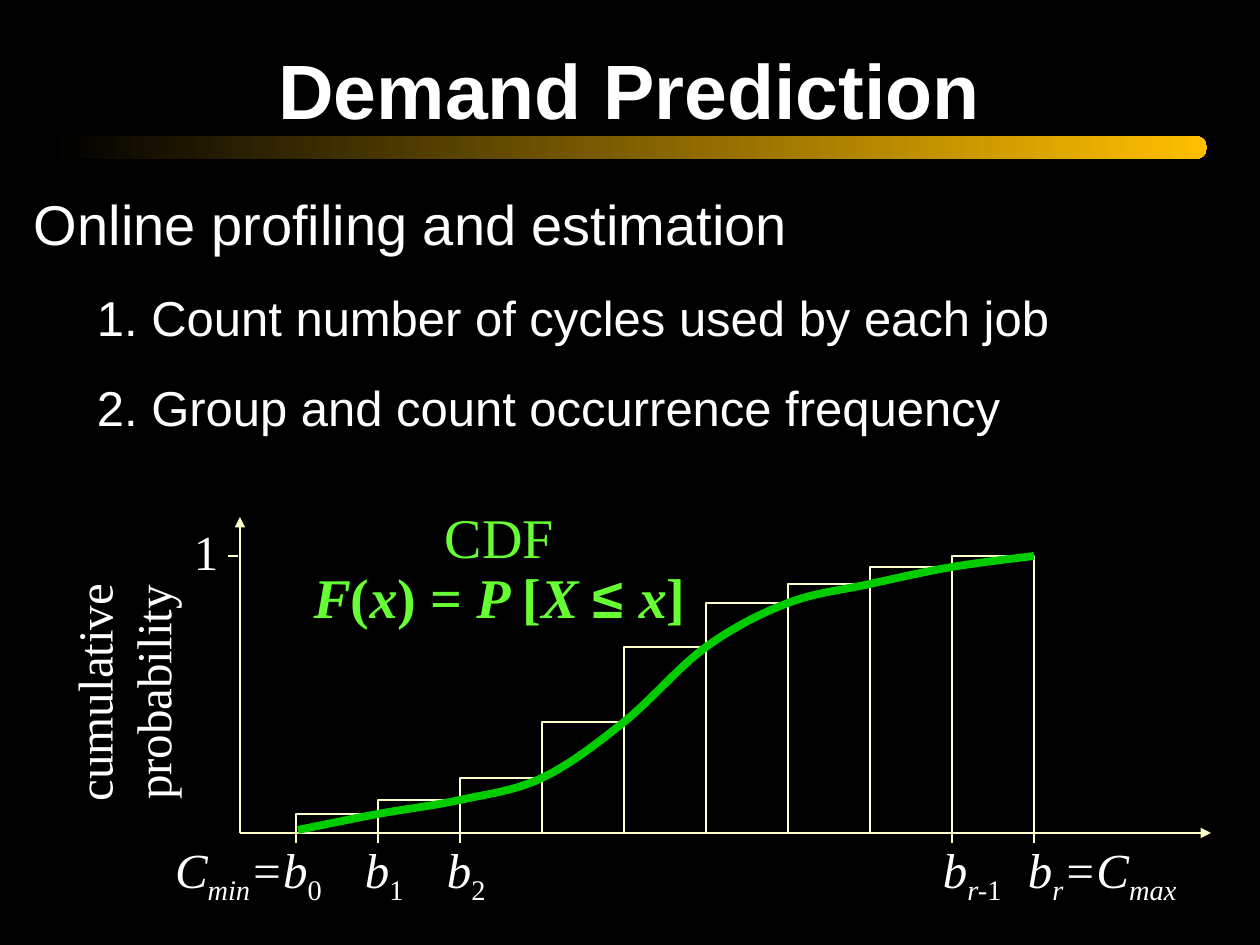
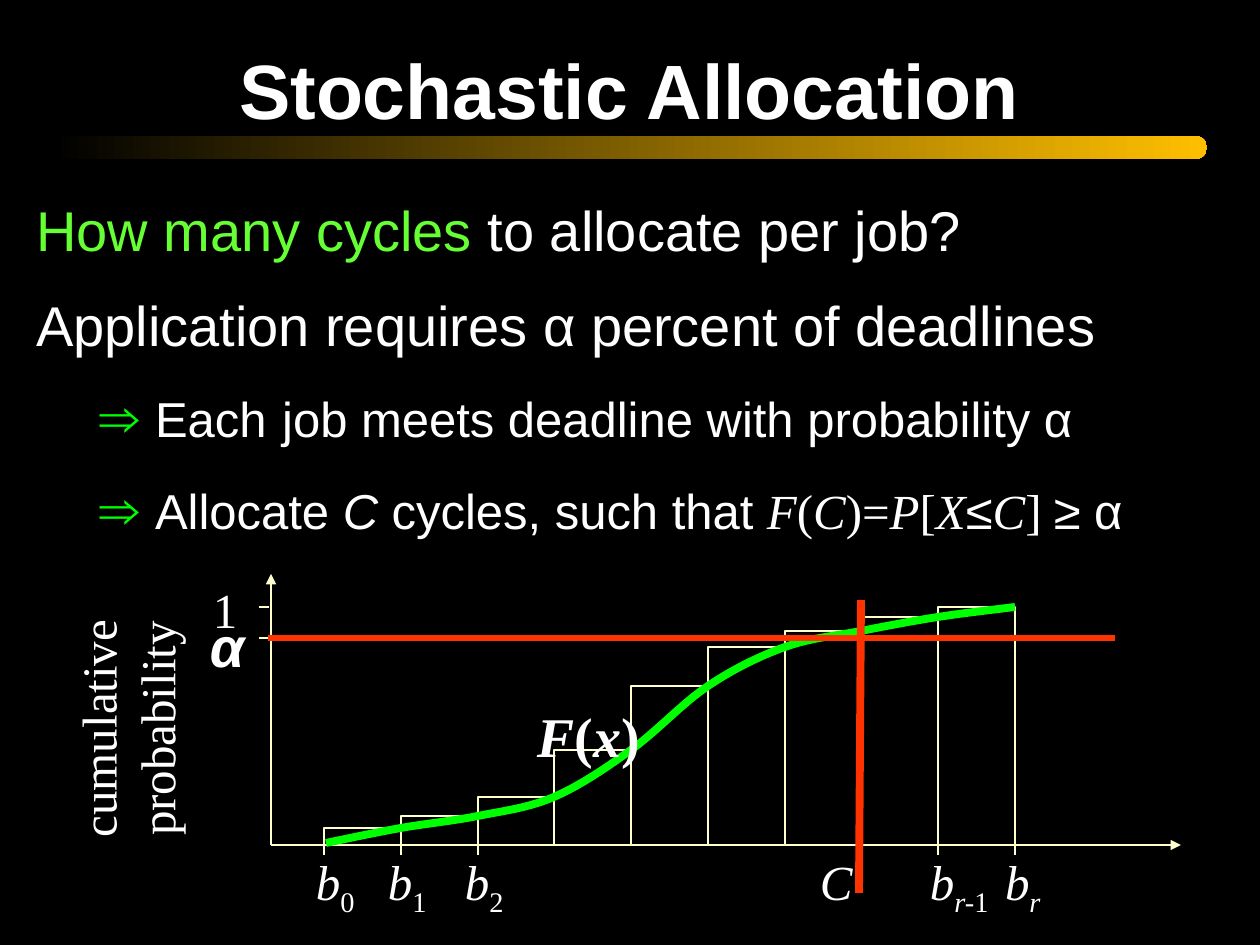
from dataclasses import dataclass

from lxml.etree import SubElement
from pptx import Presentation
from pptx.dml.color import RGBColor
from pptx.enum.shapes import MSO_CONNECTOR as Connector, MSO_SHAPE as Preset
from pptx.enum.text import MSO_ANCHOR as Anchor, MSO_AUTO_SIZE as AutoSize, PP_ALIGN as Align
from pptx.oxml.ns import qn
from pptx.util import Emu, Pt

EMU_PER_PX = 914400 / 126
SANS, SERIF = "Arial", "Times New Roman"
BLACK, WHITE, GOLD = "000000", "FFFFFF", "FFBF00"
CREAM, LIME, RED = "FFFFCC", "66FF33", "FF3300"
DARK_GREEN, BRIGHT_GREEN = "00CC00", "00FF00"

PLAIN = {}
ITALIC = {"italic": True}
SUB = {"sub": True}
ITALIC_SUB = ITALIC | SUB
BOLD = {"bold": True}
BOLD_ITALIC = BOLD | ITALIC
SERIF_TEXT = {"font": SERIF}
SERIF_ITALIC = SERIF_TEXT | ITALIC
HEADING = {"size": 32}
ARROW = HEADING | {"color": BRIGHT_GREEN}

CUMULATIVE = [0.07, 0.12, 0.2, 0.4, 0.67, 0.83, 0.9, 0.96, 1]
TICKED_EDGES = [0, 1, 2, 8, 9]
CURVE_STEPS = 10

B1 = [("b", ITALIC), ("1", SUB)]
B2 = [("b", ITALIC), ("2", SUB)]
B_BEFORE_LAST = [("b", ITALIC), ("r-", ITALIC_SUB), ("1", SUB)]


@dataclass
class PlotBox:
    left: int
    base: int
    width: int
    height: int

    @property
    def axis(self):
        return self.left - round(0.076 * self.width)

    @property
    def top(self):
        return self.base - self.height

    def edge(self, index):
        return self.left + round(index * self.width / len(CUMULATIVE))

    def level(self, share):
        return self.base - round(share * self.height)


def px(length):
    return Emu(round(length * EMU_PER_PX))


def rgb(hex_color):
    return RGBColor.from_string(hex_color)


def add_runs(paragraph, runs, font=SANS, size=28, color=WHITE):
    for text, style in runs:
        run = paragraph.add_run()
        run.text = text
        run.font.name = style.get("font", font)
        run.font.size = Pt(style.get("size", size))
        run.font.color.rgb = rgb(style.get("color", color))
        run.font.bold = style.get("bold", False)
        run.font.italic = style.get("italic", False)
        if style.get("sub"):
            run.font._element.set("baseline", "-25000")


def place(shape, left, top, width, height):
    shape.left, shape.top = px(left), px(top)
    shape.width, shape.height = px(width), px(height)


def set_frame(frame, inset_x, inset_y, anchor=Anchor.TOP):
    frame.word_wrap = True
    frame.auto_size = AutoSize.NONE
    frame.vertical_anchor = anchor
    frame.margin_left = frame.margin_right = px(inset_x)
    frame.margin_top = frame.margin_bottom = px(inset_y)


def add_text(slide, box, lines, align=Align.LEFT, inset=(0, 0), spacing=None, **style):
    shape = slide.shapes.add_textbox(*map(px, box))
    frame = shape.text_frame
    set_frame(frame, *inset)
    for number, runs in enumerate(lines):
        paragraph = frame.add_paragraph() if number else frame.paragraphs[0]
        paragraph.alignment = align
        paragraph.line_spacing = spacing
        add_runs(paragraph, runs, **style)
    return shape


def add_line(slide, start, end, color=CREAM, width=0.75, arrow=False):
    connector = slide.shapes.add_connector(Connector.STRAIGHT, *map(px, start + end))
    connector.line.color.rgb = rgb(color)
    connector.line.width = Pt(width)
    properties = connector._element.spPr
    if arrow:
        SubElement(properties.find(qn("a:ln")), qn("a:tailEnd"), type="triangle")
    SubElement(properties, qn("a:effectLst"))


def add_header(slide, title):
    band = slide.shapes.add_shape(Preset.ROUNDED_RECTANGLE, *map(px, (52, 136, 1155, 23)))
    band.adjustments[0] = 0.5
    band.shadow.inherit = False
    band.line.fill.background()
    band.fill.gradient()
    band.fill.gradient_angle = 0
    for stop, color in zip(band.fill.gradient_stops, (BLACK, GOLD)):
        stop.color.rgb = rgb(color)

    shape = slide.shapes.title
    place(shape, 94, 41, 1071, 95)
    set_frame(shape.text_frame, 13, 6, Anchor.MIDDLE)
    paragraph = shape.text_frame.paragraphs[0]
    paragraph.alignment = Align.CENTER
    add_runs(paragraph, [(title, BOLD)], size=44)


def add_body(slide, box, lines):
    body = slide.placeholders[1]
    place(body, *box)
    frame = body.text_frame
    set_frame(frame, 13, 6)
    for number, (level, space_before, runs) in enumerate(lines):
        paragraph = frame.add_paragraph() if number else frame.paragraphs[0]
        paragraph.level = level
        paragraph.space_before = Pt(space_before)
        properties = paragraph._p.get_or_add_pPr()
        properties.set("marL", str(px(63 * level)))
        properties.set("indent", "0")
        SubElement(properties, qn("a:buNone"))
        add_runs(paragraph, runs, size=28 if level else 32)


def curve_points(anchors):
    padded = [anchors[0], *anchors, anchors[-1]]
    points = [anchors[0]]
    for before, start, end, after in zip(padded, padded[1:], padded[2:], padded[3:]):
        for step in range(1, CURVE_STEPS + 1):
            t = step / CURVE_STEPS
            points.append(tuple(
                b + t * (c - a) / 2
                + t ** 2 * (2 * a - 5 * b + 4 * c - d) / 2
                + t ** 3 * (3 * b - a - 3 * c + d) / 2
                for a, b, c, d in zip(before, start, end, after)))
    return [(px(x), px(y)) for x, y in points]


def add_curve(slide, plot, color):
    anchors = [(plot.left + 2, plot.level(0.01))]
    anchors += [(plot.edge(index), plot.level(share))
                for index, share in enumerate(CUMULATIVE, 1)]
    first, *others = curve_points(anchors)
    builder = slide.shapes.build_freeform(*first)
    builder.add_line_segments(others, close=False)
    curve = builder.convert_to_shape()
    curve.shadow.inherit = False
    curve.fill.background()
    curve.line.color.rgb = rgb(color)
    curve.line.width = Pt(4.5)


def add_level_tick(slide, plot, y):
    add_line(slide, (plot.axis - 2, y), (plot.axis - 12, y))


def add_plot(slide, plot, curve_color, edge_labels):
    axis_end = plot.left + round(1.24 * plot.width)
    add_line(slide, (plot.axis, plot.base), (axis_end, plot.base), arrow=True)
    add_line(slide, (plot.axis, plot.base), (plot.axis, plot.level(1.14)), arrow=True)

    for index, share in enumerate(CUMULATIVE):
        left, top = plot.edge(index), plot.level(share)
        bar = slide.shapes.add_shape(Preset.RECTANGLE, px(left), px(top),
                                     px(plot.edge(index + 1) - left), px(plot.base - top))
        bar.shadow.inherit = False
        bar.fill.background()
        bar.line.color.rgb = rgb(CREAM)
        bar.line.width = Pt(0.75)

    for index in TICKED_EDGES:
        x = plot.edge(index)
        add_line(slide, (x, plot.base), (x, plot.base + 10))
    add_level_tick(slide, plot, plot.top)

    for index, offset, width, runs in edge_labels:
        add_text(slide, (plot.edge(index) + offset, plot.base, width, 79),
                 [runs], inset=(0, 6), font=SERIF)
    add_curve(slide, plot, curve_color)


def add_axis_texts(slide, one_box, name_box):
    add_text(slide, one_box, [[("1", PLAIN)]], inset=(13, 6), font=SERIF)
    name = add_text(slide, name_box, [[("cumulative", PLAIN)], [("probability", PLAIN)]],
                    align=Align.CENTER, font=SERIF)
    name.rotation = 270


def build_demand_prediction(slide):
    add_header(slide, "Demand Prediction")
    add_body(slide, (21, 184, 1218, 287), [
        (0, 8, [("Online profiling and estimation", PLAIN)]),
        (1, 17.5, [("1. Count number of cycles used by each job", PLAIN)]),
        (1, 17.5, [("2. Group and count occurrence frequency", PLAIN)]),
    ])
    plot = PlotBox(296, 833, 738, 277)
    add_plot(slide, plot, DARK_GREEN, [
        (0, -121, 155, [("C", ITALIC), ("min", ITALIC_SUB), ("=b", ITALIC), ("0", SUB)]),
        (1, -13, 50, B1),
        (2, -13, 50, B2),
        (8, -9, 65, B_BEFORE_LAST),
        (9, -6, 160, [("b", ITALIC), ("r", ITALIC_SUB), ("=C", ITALIC), ("max", ITALIC_SUB)]),
    ])
    add_axis_texts(slide, (181, 515, 52, 72), (1, 634, 242, 117))
    add_text(slide, (306, 510, 387, 121), [
        [("CDF", PLAIN)],
        [("F", BOLD_ITALIC), ("(", BOLD), ("x", BOLD_ITALIC), (") = ", BOLD),
         ("P ", BOLD_ITALIC), ("[", BOLD), ("X ", BOLD_ITALIC),
         ("≤ ", BOLD | {"font": SANS}), ("x", BOLD_ITALIC), ("]", BOLD)],
    ], align=Align.CENTER, spacing=0.9, font=SERIF, size=32, color=LIME)


def build_stochastic_allocation(slide):
    add_header(slide, "Stochastic Allocation")
    add_body(slide, (23, 189, 1184, 402), [
        (0, 8, [("How many cycles ", {"color": LIME}), ("to allocate per job?", PLAIN)]),
        (0, 16, [("Application requires α percent of deadlines", PLAIN)]),
        (1, 14, [("⇒ ", ARROW), ("Each", PLAIN), (" ", HEADING),
                 ("job meets deadline with probability α", PLAIN)]),
        (1, 14, [("⇒ ", ARROW), ("Allocate ", PLAIN), ("C ", ITALIC),
                 ("cycles, such that ", PLAIN), ("F", SERIF_ITALIC), ("(", SERIF_TEXT),
                 ("C", SERIF_ITALIC), (")=", SERIF_TEXT), ("P", SERIF_ITALIC),
                 ("[", SERIF_TEXT), ("X", SERIF_ITALIC), ("≤", PLAIN),
                 ("C", SERIF_ITALIC), ("] ", SERIF_TEXT), ("≥ α", PLAIN)]),
    ])
    plot = PlotBox(324, 845, 691, 238)
    add_plot(slide, plot, BRIGHT_GREEN, [
        (0, -8, 50, [("b", ITALIC), ("0", SUB)]),
        (1, -13, 50, B1),
        (2, -13, 50, B2),
        (7, -41, 40, [("C", ITALIC)]),
        (8, -8, 65, B_BEFORE_LAST),
        (9, -10, 45, [("b", ITALIC), ("r", ITALIC_SUB)]),
    ])
    add_axis_texts(slide, (200, 573, 52, 72), (5, 670, 242, 117))
    add_text(slide, (537, 709, 110, 60),
             [[("F", BOLD_ITALIC), ("(", BOLD), ("x", BOLD_ITALIC), (")", BOLD)]],
             spacing=0.9, font=SERIF, size=32)

    alpha = 638
    add_level_tick(slide, plot, alpha)
    add_text(slide, (197, alpha - 33, 65, 81), [[("α", BOLD_ITALIC)]], inset=(13, 6), size=32)
    add_line(slide, (plot.axis - 3, alpha), (plot.edge(9) + 100, alpha), RED, 3)
    cycles = plot.edge(7)
    add_line(slide, (cycles, plot.top - 7), (cycles - 2, plot.base + 48), RED, 4.5)


def main():
    presentation = Presentation()
    presentation.slide_width, presentation.slide_height = px(1260), px(945)
    background = presentation.slide_master.background.fill
    background.solid()
    background.fore_color.rgb = rgb(BLACK)
    layout = presentation.slide_layouts[1]
    for build in (build_demand_prediction, build_stochastic_allocation):
        build(presentation.slides.add_slide(layout))
    presentation.save("out.pptx")


if __name__ == "__main__":
    main()
